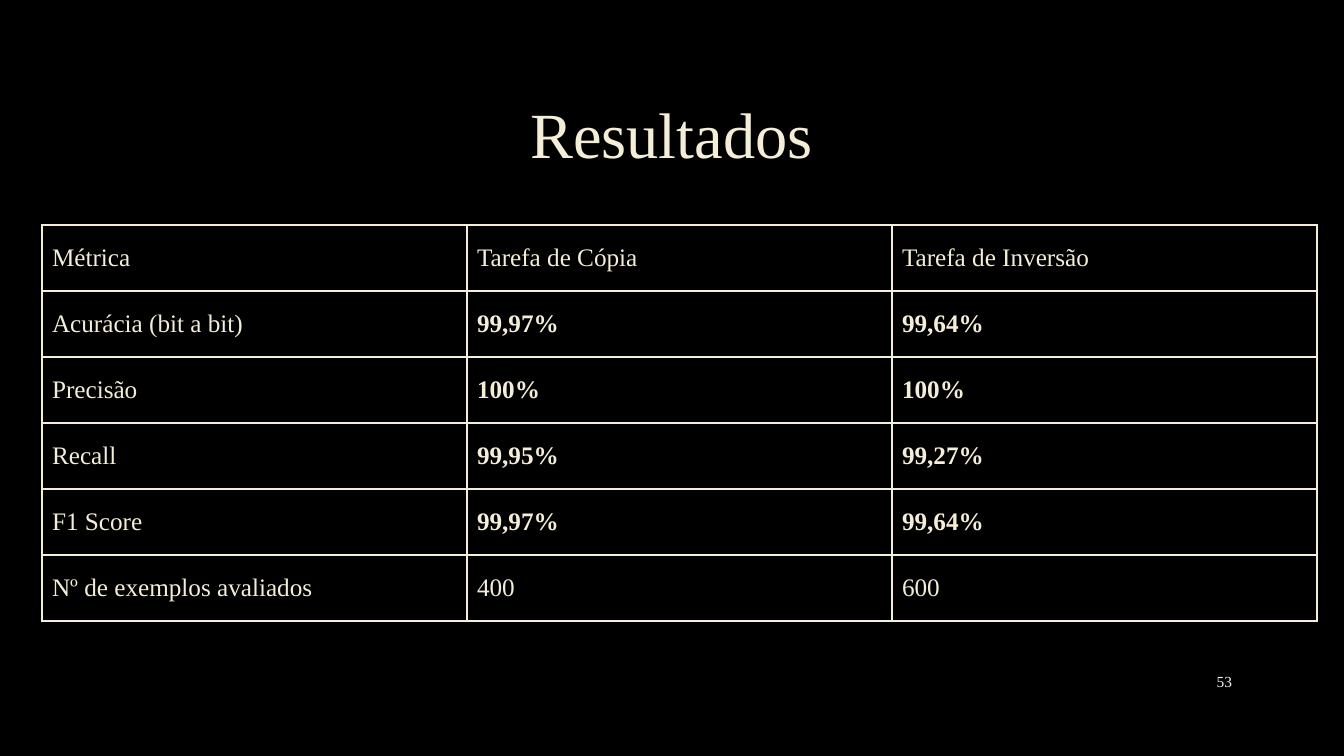
from lxml import etree
from pptx import Presentation
from pptx import util as u
from pptx.dml.color import RGBColor
from pptx.enum import text
from pptx.oxml.ns import qn

TITLE = "Resultados"
PAGE_NUMBER = "53"
RESULTS = [
    ("Métrica", "Tarefa de Cópia", "Tarefa de Inversão"),
    ("Acurácia (bit a bit)", "99,97%", "99,64%"),
    ("Precisão", "100%", "100%"),
    ("Recall", "99,95%", "99,27%"),
    ("F1 Score", "99,97%", "99,64%"),
    ("Nº de exemplos avaliados", "400", "600"),
]

FONT = "Times New Roman"
BLACK, CREAM, PALE = "000000", "F4EDD8", "F2F2F2"
SLIDE_SIZE = 1344, 756
TITLE_BOX = 101, 68, 1141, 139
NUMBER_BOX = 1159, 661, 83, 40
TABLE_LEFT, TABLE_TOP = 42, 225
COLUMN_WIDTH, ROW_HEIGHT = 425, 66
BORDER_POINTS = 1


def px(length):
    return u.Emu(round(length * 914400 / 100.8))


def color(value):
    return RGBColor.from_string(value)


def add_run(paragraph, content, size, hue, bold=False):
    run = paragraph.add_run()
    run.text = content
    run.font.name = FONT
    run.font.size = u.Pt(size)
    run.font.bold = bold
    run.font.color.rgb = color(hue)


def add_label(slide, box, content, size, hue, alignment, spacing=1.0):
    frame = slide.shapes.add_textbox(*map(px, box)).text_frame
    frame.word_wrap = True
    frame.vertical_anchor = text.MSO_ANCHOR.MIDDLE
    paragraph = frame.paragraphs[0]
    paragraph.alignment = alignment
    paragraph.line_spacing = spacing
    add_run(paragraph, content, size, hue)


def add_borders(cell):
    """Draw all four cell sides; they must precede the fill in the XML."""
    properties = cell._tc.get_or_add_tcPr()
    for position, side in enumerate(("lnL", "lnR", "lnT", "lnB")):
        line = etree.Element(qn(f"a:{side}"), w=str(u.Pt(BORDER_POINTS)))
        fill = etree.SubElement(line, qn("a:solidFill"))
        etree.SubElement(fill, qn("a:srgbClr"), val=CREAM)
        properties.insert(position, line)


def add_results_table(slide):
    rows, columns = len(RESULTS), len(RESULTS[0])
    table = slide.shapes.add_table(
        rows, columns, px(TABLE_LEFT), px(TABLE_TOP),
        px(columns * COLUMN_WIDTH), px(rows * ROW_HEIGHT)).table
    table.first_row = table.horz_banding = False
    for column in table.columns:
        column.width = px(COLUMN_WIDTH)
    for row, values in zip(table.rows, RESULTS):
        row.height = px(ROW_HEIGHT)
        for cell, value in zip(row.cells, values):
            cell.vertical_anchor = text.MSO_ANCHOR.MIDDLE
            cell.fill.background()
            add_borders(cell)
            add_run(cell.text_frame.paragraphs[0], value, 18, CREAM,
                    bold=value.endswith("%"))


def main():
    presentation = Presentation()
    presentation.slide_width, presentation.slide_height = map(px, SLIDE_SIZE)
    slide = presentation.slides.add_slide(presentation.slide_layouts[6])
    slide.background.fill.solid()
    slide.background.fill.fore_color.rgb = color(BLACK)
    add_label(slide, TITLE_BOX, TITLE, 46, CREAM, text.PP_ALIGN.CENTER, 0.9)
    add_label(slide, NUMBER_BOX, PAGE_NUMBER, 11, PALE, text.PP_ALIGN.RIGHT)
    add_results_table(slide)
    presentation.save("out.pptx")


if __name__ == "__main__":
    main()
